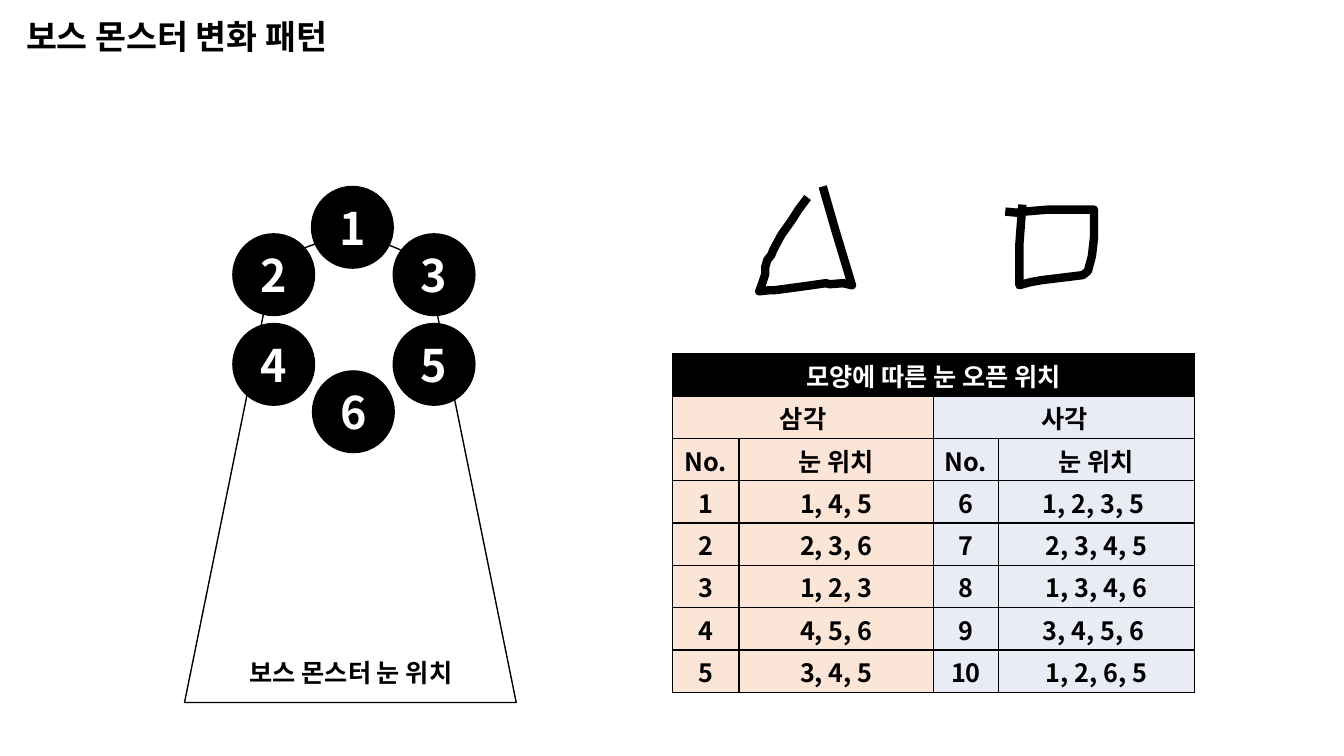
import math

from lxml import etree
from pptx import Presentation
from pptx import util as u
from pptx.dml.color import RGBColor
from pptx.enum import shapes, text
from pptx.oxml import ns

FONT = "Noto Sans CJK KR"
BLACK, WHITE, PEACH, LAVENDER = "000000", "FFFFFF", "FBE5D6", "E9EBF5"
TRIANGLE_STROKE = [
    (0.48, 0.11), (0.39, 0.23), (0.32, 0.34), (0.22, 0.48), (0.14, 0.63), (0.12, 0.68),
    (0.08, 0.73), (0.06, 0.8), (0.06, 0.87), (0.02, 0.99), (0, 1.04), (0.1, 1.03),
    (0.15, 1.03), (0.45, 0.99), (0.66, 0.96), (0.7, 0.97), (0.83, 0.96), (0.92, 0.98),
    (0.76, 0.45), (0.63, 0),
]
SQUARE_STROKE = [
    (0.17, 0), (0.14, 0.4), (0.14, 0.8), (0.25, 0.77), (0.36, 0.75), (0.77, 0.7),
    (0.82, 0.66), (0.86, 0.51), (0.88, 0.33), (0.88, 0.05), (0.43, 0.05), (0.19, 0.07),
    (0.11, 0.08), (0, 0.07),
]
EYES = {
    "1": (1.26, 0), "2": (0.48, 0.47), "3": (2.07, 0.47),
    "4": (0.48, 1.36), "5": (2.07, 1.36), "6": (1.27, 1.83),
}
EYE_ROWS = [
    ("No.", "눈 위치", "No.", "눈 위치"),
    ("1", "1, 4, 5", "6", "1, 2, 3, 5 "),
    ("2", "2, 3, 6", "7", "2, 3, 4, 5"),
    ("3", "1, 2, 3", "8", "1, 3, 4, 6"),
    ("4", "4, 5, 6", "9", "3, 4, 5, 6 "),
    ("5", "3, 4, 5", "10", "1, 2, 6, 5"),
]


def color(value):
    """Turn a hex string into a colour."""
    return RGBColor.from_string(value)


def set_values(target, values):
    """Set each named attribute on the target."""
    for name, value in values.items():
        setattr(target, name, value)


def write(frame, content, size, ink=BLACK, centred=True):
    """Write one bold paragraph into a text frame."""
    paragraph = frame.paragraphs[0]
    if centred:
        paragraph.alignment = text.PP_ALIGN.CENTER
    run = paragraph.add_run()
    run.text = content
    set_values(run.font, {"size": u.Pt(size), "bold": True, "name": FONT})
    run.font.color.rgb = color(ink)
    etree.SubElement(run.font._element, ns.qn("a:ea"), typeface=FONT)


def paint(shape, fill, width):
    """Give a shape a fill, a black outline and no shadow."""
    shape.shadow.inherit = False
    if fill:
        shape.fill.solid()
        shape.fill.fore_color.rgb = color(fill)
    else:
        shape.fill.background()
    shape.line.color.rgb = color(BLACK)
    shape.line.width = u.Pt(width)


def add_label(parent, box, content, size, centred):
    """Add a text box that grows with its text."""
    label = parent.add_textbox(*map(u.Inches, box))
    set_values(label.text_frame, {
        "word_wrap": True, "auto_size": text.MSO_AUTO_SIZE.SHAPE_TO_FIT_TEXT,
    })
    write(label.text_frame, content, size, centred=centred)


def add_outline(parent, left, top, points, fill, width, close):
    """Draw an outline through points measured from the given corner."""
    places = [(u.Inches(left + x), u.Inches(top + y)) for x, y in points]
    builder = parent.build_freeform(*places[0])
    builder.add_line_segments(places[1:], close=close)
    paint(builder.convert_to_shape(), fill, width)


def add_monster(slide, left, top, width, height):
    """Draw the monster's body, its six numbered eyes and the caption."""
    monster = slide.shapes.add_group_shape().shapes
    middle, shoulder, radius, rise, eye = width / 2, 1.06, 0.82, 0.54, 0.81
    angles = [math.radians(degrees) for degrees in range(180, -1, -6)]
    dome = [(middle + radius * math.cos(a), shoulder - rise * math.sin(a)) for a in angles]
    body = [(0, height), *dome, (width, height)]
    add_outline(monster, left, top, body, WHITE, 1, True)
    for number, (x, y) in EYES.items():
        box = map(u.Inches, (left + x, top + y, eye, eye))
        shape = monster.add_shape(shapes.MSO_SHAPE.OVAL, *box)
        paint(shape, BLACK, 1)
        shape.text_frame.vertical_anchor = text.MSO_ANCHOR.MIDDLE
        write(shape.text_frame, number, 32, WHITE)
    caption = (left + 0.19, top + height - 0.5, 2.92, 0.4)
    add_label(monster, caption, "보스 몬스터 눈 위치", 18, True)


def format_cell(cell, fill):
    """Set a cell's margins, borders and fill."""
    set_values(cell, {
        "margin_left": u.Inches(0.01), "margin_right": u.Inches(0.01),
        "margin_top": u.Inches(0.01), "margin_bottom": 0,
        "vertical_anchor": text.MSO_ANCHOR.MIDDLE,
    })
    properties = cell._tc.get_or_add_tcPr()
    for side in ("lnL", "lnR", "lnT", "lnB"):
        border = etree.SubElement(properties, ns.qn("a:" + side), w=str(u.Pt(1)))
        solid = etree.SubElement(border, ns.qn("a:solidFill"))
        etree.SubElement(solid, ns.qn("a:srgbClr"), val=BLACK)
    cell.fill.solid()
    cell.fill.fore_color.rgb = color(fill)


def add_eye_table(slide, left, top, width, height):
    """Add the table of open eyes for each drawn shape."""
    rows = [("모양에 따른 눈 오픈 위치", "", "", ""), ("삼각", "", "사각", ""), *EYE_ROWS]
    box = map(u.Inches, (left, top, width, height))
    table = slide.shapes.add_table(len(rows), 4, *box).table
    set_values(table, {"first_row": False, "horz_banding": False})
    for column, share in zip(table.columns, (0.66, 1.93, 0.64, 1.95)):
        column.width = u.Inches(share)
    for row in table.rows:
        row.height = u.Inches(height / len(rows))
    for i, values in enumerate(rows):
        for j, value in enumerate(values):
            cell = table.cell(i, j)
            format_cell(cell, BLACK if i == 0 else PEACH if j < 2 else LAVENDER)
            if value:
                write(cell.text_frame, value, 18, WHITE if i == 0 else BLACK)
    for row, first, last in ((0, 0, 3), (1, 0, 1), (1, 2, 3)):
        table.cell(row, first).merge(table.cell(row, last))


def main():
    """Build the slide and save it."""
    presentation = Presentation()
    set_values(presentation, {
        "slide_width": u.Inches(13.33), "slide_height": u.Inches(7.5),
    })
    slide = presentation.slides.add_slide(presentation.slide_layouts[6])
    add_label(slide.shapes, (0.16, 0.11, 4.55, 0.5), "보스 몬스터 변화 패턴", 24, False)
    add_outline(slide.shapes, 7.53, 1.85, TRIANGLE_STROKE, None, 6, False)
    add_outline(slide.shapes, 9.97, 2.03, SQUARE_STROKE, None, 6, False)
    add_eye_table(slide, 6.67, 3.51, 5.18, 3.36)
    add_monster(slide, 1.83, 1.85, 3.29, 5.12)
    presentation.save("out.pptx")


if __name__ == "__main__":
    main()
